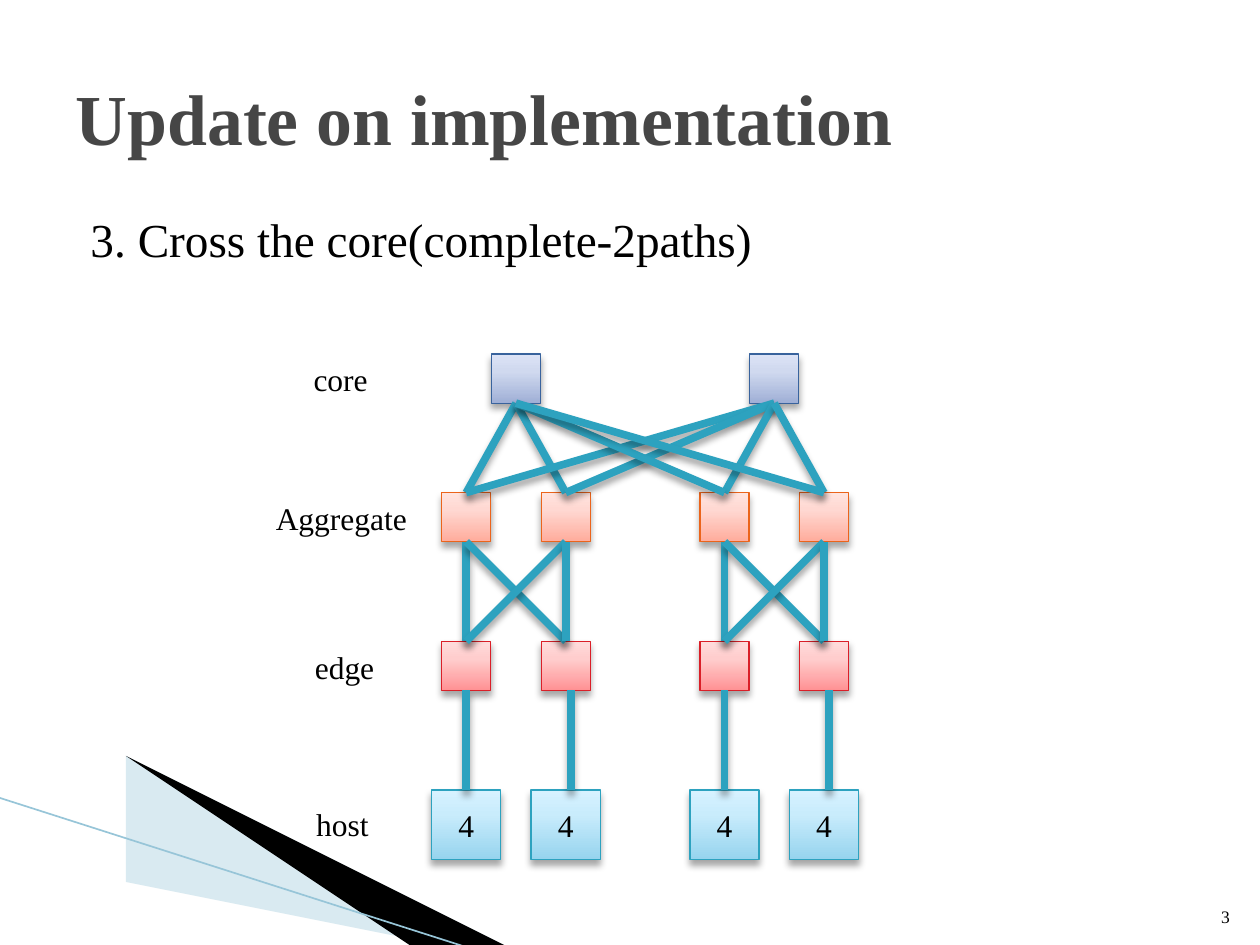
from itertools import product

from pptx import Presentation
from pptx.dml.color import RGBColor
from pptx.enum.shapes import MSO_CONNECTOR, MSO_SHAPE
from pptx.enum.text import MSO_ANCHOR, PP_ALIGN
from pptx.oxml import parse_xml
from pptx.oxml.ns import nsdecls
from pptx.util import Inches, Pt

# Content
TITLE = "Update on implementation"
BODY = "3. Cross the core(complete-2paths)"
PAGE_NUMBER = "3"
HOST_COUNT = "4"
LABELS = [  # text, left, top, width
    ("host", 2.41, 6.34, 0.62),
    ("edge", 2.4, 5.09, 0.68),
    ("Aggregate", 2.09, 3.91, 1.25),
    ("core", 2.39, 2.81, 0.64),
]
LAYERS = {  # top and side of the boxes in each layer
    "core": (2.81, 0.39),
    "aggregate": (3.91, 0.39),
    "edge": (5.09, 0.39),
    "host": (6.27, 0.55),
}
WEDGES = [  # outline, colour, opacity in percent
    ([(0.55, 6.51), (5.95, 7.51), (4.56, 7.51), (0.55, 6.5)], "A0CBDC", 40),
    ([(0.53, 6.49), (4.57, 7.51), (3.72, 7.52), (0.54, 6.5)], "000000", 100),
]

THEME = {
    "font": "Times New Roman",
    "text": "000000", "title": "464646", "link": "2DA2BF", "edge line": "97C5D8",
    "title size": 41, "body size": 27, "label size": 18, "number size": 10,
    "box line": 0.75, "link line": 4.33, "wedge line": 0.95,
    # Outline, then gradient from bottom to top
    "core": ("39639D", ("9FAFD6", "D0D9EF", "DCE3F6")),
    "aggregate": ("EB641B", ("FFAC9C", "FFD8D2", "FFE4DF")),
    "edge": ("DA1F28", ("FF9294", "FFCDCD", "FFDCDC")),
    "host": ("2DA2BF", ("96D4EE", "C9ECFC", "D7F2FF")),
}

# Grid: two pods, each with two columns and a core centred above them
FIRST_COLUMN, COLUMN_GAP, POD_GAP = 3.7, 0.79, 2.05
PODS = [[FIRST_COLUMN + pod * POD_GAP + column * COLUMN_GAP for column in range(2)]
        for pod in range(2)]
CORES = [sum(columns) / 2 for columns in PODS]
HOST_LINK_SHIFT = 0.04  # the second host link sits right of centre


def color(name):
    return RGBColor.from_string(THEME.get(name, name))


def write(shape, text, size, color_name="text", bold=False,
          align=PP_ALIGN.LEFT, anchor=MSO_ANCHOR.TOP, wrap=True):
    frame = shape.text_frame
    frame.word_wrap = wrap
    frame.vertical_anchor = anchor
    paragraph = frame.paragraphs[0]
    paragraph.text = text
    paragraph.alignment = align
    font = paragraph.font
    font.name, font.size, font.bold = THEME["font"], Pt(THEME[size]), bold
    font.color.rgb = color(color_name)
    return paragraph


def add_text(slide, left, top, width, height, text, size, **options):
    box = slide.shapes.add_textbox(Inches(left), Inches(top), Inches(width), Inches(height))
    return write(box, text, size, **options)


def set_effects(shape, shadow=True):
    content = ('<a:outerShdw blurRad="50800" dist="38100" dir="5400000" rotWithShape="0">'
               '<a:srgbClr val="000000"><a:alpha val="35000"/></a:srgbClr>'
               '</a:outerShdw>') if shadow else ""
    shape._element.spPr.append(
        parse_xml(f'<a:effectLst {nsdecls("a")}>{content}</a:effectLst>'))


def add_line(slide, start, end, color_name="link", width="link line", shadow=True):
    line = slide.shapes.add_connector(
        MSO_CONNECTOR.STRAIGHT, *(Inches(value) for value in (*start, *end)))
    line.line.color.rgb = color(color_name)
    line.line.width = Pt(THEME[width])
    set_effects(line, shadow)


def add_box(slide, layer, center):
    top, side = LAYERS[layer]
    outline, gradient = THEME[layer]
    box = slide.shapes.add_shape(MSO_SHAPE.RECTANGLE, Inches(center - side / 2),
                                 Inches(top), Inches(side), Inches(side))
    box.line.color.rgb = color(outline)
    box.line.width = Pt(THEME["box line"])
    stops = "".join(f'<a:gs pos="{position}000"><a:srgbClr val="{stop}"/></a:gs>'
                    for position, stop in zip((0, 65, 100), gradient))
    box.line._ln.addprevious(parse_xml(
        f'<a:gradFill {nsdecls("a")} rotWithShape="1"><a:gsLst>{stops}</a:gsLst>'
        '<a:lin ang="16200000" scaled="0"/></a:gradFill>'))
    set_effects(box)
    if layer == "host":
        write(box, HOST_COUNT, "label size", align=PP_ALIGN.CENTER, anchor=MSO_ANCHOR.MIDDLE)


def add_wedge(slide, points, fill, opacity):
    builder = slide.shapes.build_freeform(*points[0], scale=Inches(1))
    builder.add_line_segments(points[1:], close=True)
    wedge = builder.convert_to_shape()
    wedge.shadow.inherit = False
    wedge.fill.solid()
    wedge.fill.fore_color.rgb = color(fill)
    wedge.line.fill.background()
    if opacity < 100:
        wedge._element.spPr.find(".//{*}srgbClr").append(
            parse_xml(f'<a:alpha {nsdecls("a")} val="{opacity}000"/>'))


def bottom(layer):
    return sum(LAYERS[layer])


def add_pod_links(slide, pod):
    columns = PODS[pod]
    for x, shift in zip(columns, (0, HOST_LINK_SHIFT)):
        add_line(slide, (x + shift, LAYERS["host"][0]), (x + shift, bottom("edge")))
    for upper, lower in product(columns, columns):
        add_line(slide, (upper, bottom("aggregate")), (lower, LAYERS["edge"][0]))
    for core, x in product((CORES[pod], CORES[1 - pod]), columns):
        add_line(slide, (core, bottom("core")), (x, LAYERS["aggregate"][0]))


def main():
    presentation = Presentation()
    presentation.slide_width, presentation.slide_height = Inches(10), Inches(7.5)
    slide = presentation.slides.add_slide(presentation.slide_layouts[5])

    # Corner decoration
    for wedge in WEDGES:
        add_wedge(slide, *wedge)
    add_line(slide, (-0.01, 6.33), (3.71, 7.52), "edge line", "wedge line", shadow=False)

    # Title, body and page number
    title = slide.shapes.title
    title.left, title.top, title.width, title.height = (
        Inches(value) for value in (0.5, 0.3, 9, 1.25))
    write(title, TITLE, "title size", "title", bold=True, anchor=MSO_ANCHOR.MIDDLE)
    body = add_text(slide, 0.5, 1.62, 9, 4.95, BODY, "body size")
    body.space_before = Pt(4)
    body._p.get_or_add_pPr().set("marL", str(Inches(0.12)))
    add_text(slide, 9.46, 7.01, 0.4, 0.4, PAGE_NUMBER, "number size",
             align=PP_ALIGN.RIGHT, anchor=MSO_ANCHOR.BOTTOM)

    # Layer labels
    for text, left, top, width in LABELS:
        add_text(slide, left, top, width, 0.4, text, "label size", wrap=False)

    # Network boxes, then the links over them
    for core in CORES:
        add_box(slide, "core", core)
    for columns in PODS:
        for layer, x in product(("host", "edge", "aggregate"), columns):
            add_box(slide, layer, x)
    for pod in range(len(PODS)):
        add_pod_links(slide, pod)

    presentation.save("out.pptx")


if __name__ == "__main__":
    main()
